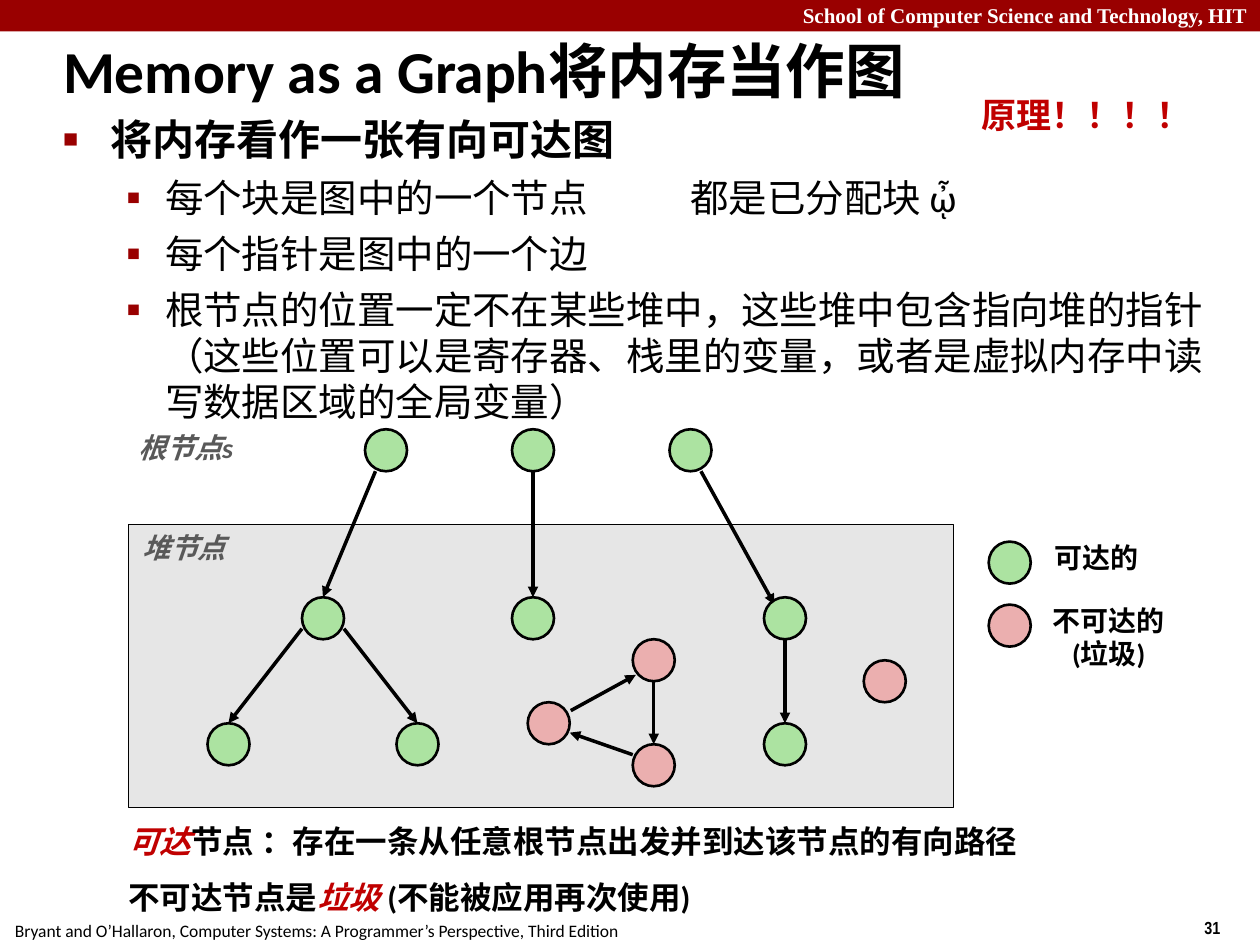
from dataclasses import dataclass

from lxml import etree
from pptx import Presentation
from pptx.dml.color import RGBColor
from pptx.enum.shapes import MSO_CONNECTOR, MSO_SHAPE
from pptx.enum.text import MSO_ANCHOR, MSO_AUTO_SIZE, PP_ALIGN
from pptx.oxml.ns import qn
from pptx.util import Inches, Pt

RECTANGLE, OVAL = MSO_SHAPE.RECTANGLE, MSO_SHAPE.OVAL
STRAIGHT = MSO_CONNECTOR.STRAIGHT
LEFT, CENTER, RIGHT = PP_ALIGN.LEFT, PP_ALIGN.CENTER, PP_ALIGN.RIGHT
TOP, MIDDLE = MSO_ANCHOR.TOP, MSO_ANCHOR.MIDDLE
FIXED, GROW = MSO_AUTO_SIZE.NONE, MSO_AUTO_SIZE.SHAPE_TO_FIT_TEXT

WIDTH, HEIGHT = 10, 7.5
CELL = 1 / 12
GRID_LEFT, GRID_TOP = -0.02, -0.01
NODE_CELLS = 4


@dataclass(frozen=True)
class Theme:
    black: str = "000000"
    white: str = "FFFFFF"
    band: str = "990000"
    accent: str = "C00000"
    muted: str = "595959"
    heap: str = "E6E6E6"
    reachable: str = "ACE3A1"
    garbage: str = "EBAFAF"
    font: str = "Calibri"
    header_font: str = "Times New Roman"
    number_font: str = "Arial Narrow"
    title: int = 34
    topic: int = 24
    item: int = 22
    remark: int = 20
    summary: int = 18
    label: int = 16
    header: int = 12
    footer: int = 10


THEME = Theme()

ROOTS = [(35, 41), (49, 41), (64, 41)]
HEAP_NODES = [(29, 57), (49, 57), (73, 57), (20, 69), (38, 69), (73, 69)]
GARBAGE_NODES = [(60.5, 61), (60.5, 71), (50.5, 67), (82.5, 63)]
LEGEND_REACHABLE, LEGEND_GARBAGE = (94.4, 51.7), (94.4, 57.7)
EDGES = [
    ((36, 45), (31, 57)), ((51, 45), (51, 57)), ((67, 45), (74, 57.7)),
    ((29, 60), (22, 69)), ((33, 60), (40, 69)), ((75, 61), (75, 69)),
    ((62.5, 65), (62.5, 71)), ((60.5, 72), (54.5, 69.9)),
    ((54.6, 67.8), (60.8, 64.4)),
]
TOPIC = "将内存看作一张有向可达图"
ITEMS = [
    "每个块是图中的一个节点\t都是已分配块 ᾦ",
    "每个指针是图中的一个边",
    "根节点的位置一定不在某些堆中，这些堆中包含指向堆的指针（这些位置可以是寄存器、栈里的变量，或者是虚拟内存中读写数据区域的全局变量）",
]


def grid_point(column, row):
    return Inches(GRID_LEFT + column * CELL), Inches(GRID_TOP + row * CELL)


def apply_values(target, values):
    for name, value in values.items():
        setattr(target, name, value)


def add_run(paragraph, text, size, color=THEME.black, name=THEME.font, **style):
    run = paragraph.add_run()
    run.text = text
    apply_values(run.font, {"size": Pt(size), "name": name, **style})
    run.font.color.rgb = RGBColor.from_string(color)
    etree.SubElement(run.font._element, qn("a:ea"), typeface=name)


def format_frame(frame, **values):
    margins = {"margin_left": 0.1, "margin_right": 0.1, "margin_top": 0.05, "margin_bottom": 0.05}
    apply_values(frame, {name: Inches(value) for name, value in margins.items()})
    apply_values(frame, {"vertical_anchor": TOP, "auto_size": FIXED, "word_wrap": True, **values})


def place(shape, left, top, width, height):
    values = {"left": left, "top": top, "width": width, "height": height}
    apply_values(shape, {name: Inches(value) for name, value in values.items()})


def add_text_box(slide, box, **values):
    frame = slide.shapes.add_textbox(*map(Inches, box)).text_frame
    format_frame(frame, **values)
    return frame


def add_label(slide, box, lines, size, align=LEFT, wrap=False, **style):
    frame = add_text_box(slide, box, word_wrap=wrap, auto_size=GROW)
    paragraph = frame.paragraphs[0]
    paragraph.alignment = align
    for index, line in enumerate(lines.split("\n")):
        if index:
            paragraph.add_line_break()
        add_run(paragraph, line, size, **style)


def add_filled_shape(slide, kind, position, size, fill, line_width=0):
    shape = slide.shapes.add_shape(kind, *position, *size)
    shape.shadow.inherit = False
    shape.fill.solid()
    shape.fill.fore_color.rgb = RGBColor.from_string(fill)
    if line_width:
        shape.line.color.rgb = RGBColor.from_string(THEME.black)
        shape.line.width = Pt(line_width)
    else:
        shape.line.fill.background()


def add_nodes(slide, positions, fill):
    diameter = Inches(NODE_CELLS * CELL)
    for position in positions:
        add_filled_shape(slide, OVAL, grid_point(*position), (diameter, diameter), fill, 1.5)


def add_edge(slide, start, end):
    connector = slide.shapes.add_connector(STRAIGHT, *grid_point(*start), *grid_point(*end))
    connector.line.color.rgb = RGBColor.from_string(THEME.black)
    connector.line.width = Pt(2)
    etree.SubElement(connector.line._get_or_add_ln(), qn("a:tailEnd"), type="triangle")
    etree.SubElement(connector._element.spPr, qn("a:effectLst"))


def set_indent(paragraph, margin, hanging):
    properties = paragraph._p.get_or_add_pPr()
    properties.set("marL", str(Inches(margin)))
    properties.set("indent", str(-Inches(hanging)))
    return properties


def set_bullet(properties, character, percent):
    color = etree.SubElement(properties, qn("a:buClr"))
    etree.SubElement(color, qn("a:srgbClr"), val=THEME.band)
    etree.SubElement(properties, qn("a:buSzPct"), val=str(percent * 1000))
    etree.SubElement(properties, qn("a:buChar"), char=character)


def add_tab(properties, position):
    tabs = etree.SubElement(properties, qn("a:tabLst"))
    etree.SubElement(tabs, qn("a:tab"), pos=str(Inches(position)), algn="l")


def fill_title(shape):
    place(shape, 0.4, 0.28, 7.44, 0.63)
    format_frame(shape.text_frame, vertical_anchor=MIDDLE)
    paragraph = shape.text_frame.paragraphs[0]
    apply_values(paragraph, {"alignment": LEFT, "line_spacing": 0.87})
    set_indent(paragraph, 0.13, 0.13)
    add_run(paragraph, "Memory as a Graph将内存当作图", THEME.title, bold=True)


def fill_body(shape):
    place(shape, 0.4, 0.91, 9.28, 2.83)
    frame = shape.text_frame
    format_frame(frame)
    topic = frame.paragraphs[0]
    apply_values(topic, {"line_spacing": 0.85, "space_before": Pt(0)})
    set_bullet(set_indent(topic, 0.38, 0.38), "■", 60)
    add_run(topic, TOPIC, THEME.topic, bold=True)
    for text in ITEMS:
        item = frame.add_paragraph()
        apply_values(item, {"level": 1, "line_spacing": 1.0, "space_before": Pt(5.6)})
        properties = set_indent(item, 0.81, 0.31)
        set_bullet(properties, "▪", 110)
        if "\t" in text:
            add_tab(properties, 4.98)
        add_run(item, text, THEME.item, bold=False)


def add_summary(slide):
    frame = add_text_box(slide, (0.92, 6.5, 8.1, 0.92))
    sentences = [
        [("可达", True), ("节点 ：存在一条从任意根节点出发并到达该节点的有向路径", False)],
        [("不可达节点是", False), ("垃圾 ", True), ("(不能被应用再次使用)", False)],
    ]
    for index, sentence in enumerate(sentences):
        paragraph = frame.add_paragraph() if index else frame.paragraphs[0]
        apply_values(paragraph, {"line_spacing": 0.95, "space_before": Pt(11.2 if index else 0)})
        set_indent(paragraph, 0.42, 0.42)
        for text, key in sentence:
            color = THEME.accent if key else THEME.black
            add_run(paragraph, text, THEME.summary, color, bold=True, italic=key)


def add_frame_texts(slide):
    add_filled_shape(slide, RECTANGLE, (0, 0), (Inches(WIDTH), Inches(0.25)), THEME.band)
    add_label(slide, (0, -0.03, WIDTH, 0.3), "School of Computer Science and Technology, HIT",
              THEME.header, RIGHT, True, color=THEME.white, name=THEME.header_font, bold=True)
    add_label(slide, (9.46, 7.23, 0.75, 0.27), "31", THEME.footer, name=THEME.number_font, bold=True)
    add_label(slide, (0.02, 7.25, 5.01, 0.27),
              "Bryant and O’Hallaron, Computer Systems: A Programmer’s Perspective, Third Edition",
              THEME.footer)


def add_graph(slide):
    add_filled_shape(slide, RECTANGLE, (Inches(1.02), Inches(4.16)),
                     (Inches(6.55), Inches(2.25)), THEME.heap, 0.5)
    for start, end in EDGES:
        add_edge(slide, start, end)
    add_nodes(slide, ROOTS + HEAP_NODES + [LEGEND_REACHABLE], THEME.reachable)
    add_nodes(slide, GARBAGE_NODES + [LEGEND_GARBAGE], THEME.garbage)
    caption = {"color": THEME.muted, "bold": True, "italic": True}
    add_label(slide, (1, 3.37, 1.1, 0.37), "根节点s", THEME.label, **caption)
    add_label(slide, (1.03, 4.16, 0.94, 0.37), "堆节点", THEME.label, **caption)
    add_label(slide, (8.27, 4.24, 0.94, 0.37), "可达的", THEME.label, bold=True)
    add_label(slide, (8.22, 4.74, 1.16, 0.64), "不可达的\n(垃圾)", THEME.label, CENTER, bold=True)


def main():
    presentation = Presentation()
    presentation.slide_width, presentation.slide_height = Inches(WIDTH), Inches(HEIGHT)
    slide = presentation.slides.add_slide(presentation.slide_layouts[1])
    add_frame_texts(slide)
    fill_title(slide.shapes.title)
    fill_body(slide.placeholders[1])
    add_graph(slide)
    add_summary(slide)
    add_label(slide, (7.69, 0.69, 1.87, 0.44), "原理！！！！", THEME.remark,
              color=THEME.accent, bold=True)
    presentation.save("out.pptx")


if __name__ == "__main__":
    main()
